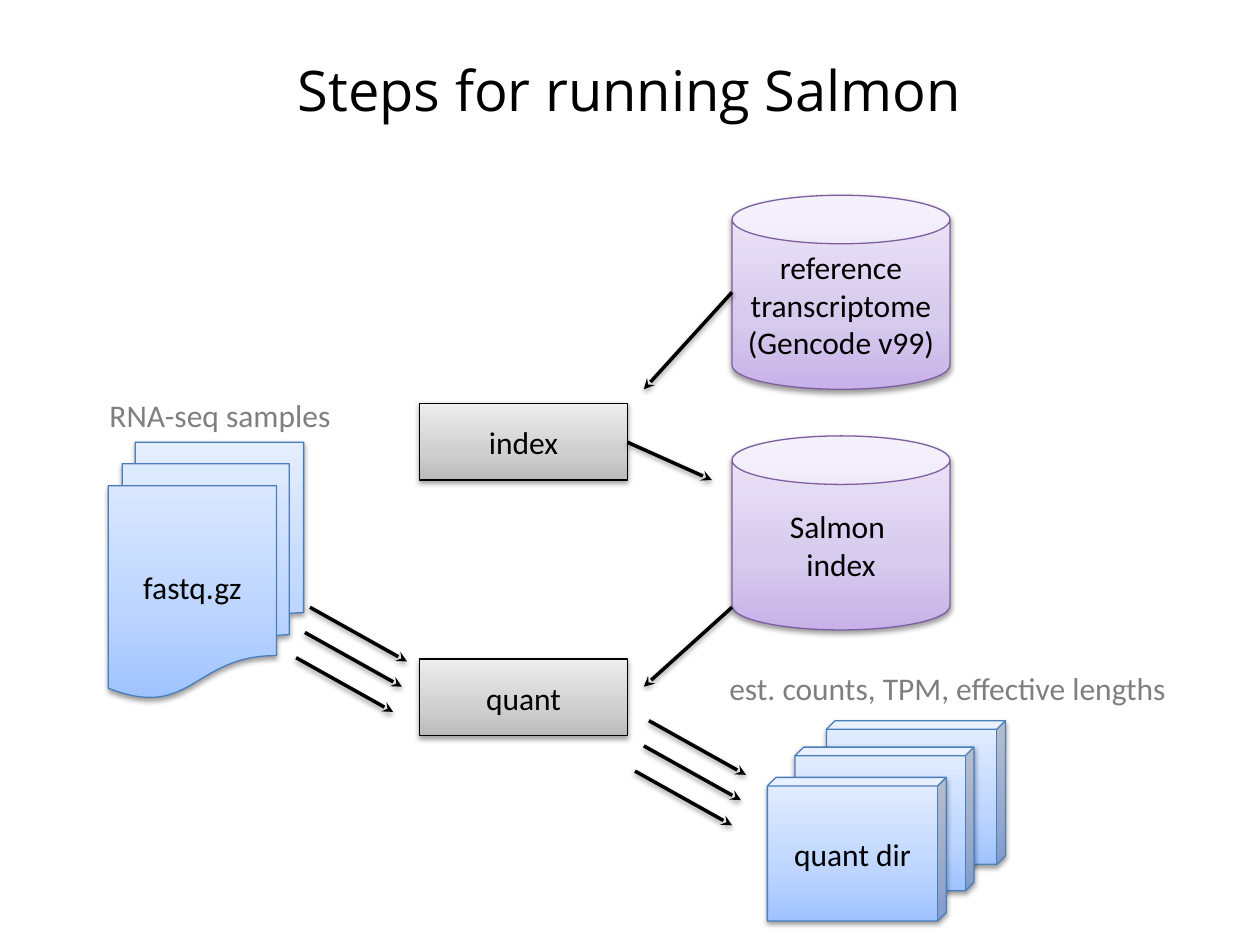
from lxml import etree
from pptx import Presentation
from pptx.dml.color import RGBColor
from pptx.enum.shapes import MSO_CONNECTOR, MSO_SHAPE
from pptx.enum.text import MSO_ANCHOR, PP_ALIGN
from pptx.oxml.ns import qn
from pptx.util import Inches, Pt

RECT, CAN, CUBE = MSO_SHAPE.RECTANGLE, MSO_SHAPE.CAN, MSO_SHAPE.CUBE
DOCUMENTS = MSO_SHAPE.FLOWCHART_MULTIDOCUMENT
STRAIGHT = MSO_CONNECTOR.STRAIGHT
LEFT, CENTER = PP_ALIGN.LEFT, PP_ALIGN.CENTER
MIDDLE, TOP = MSO_ANCHOR.MIDDLE, MSO_ANCHOR.TOP

COLORS = {"ink": "000000", "caption": "7F7F7F"}
# Gradient stops from bottom to top, then outline
STYLES = {
    "step": (("BABABA", "CFCFCF", "EDEDED"), "000000"),
    "store": (("C8B2E9", "D6CAED", "EFE8FA"), "7C5F9F"),
    "data": (("9FC3FF", "BDD5FF", "E4EEFF"), "4A7DBA"),
}
STOPS = (0, 35, 100)

# Content: kind, style, left, top, width, height, adjustment, text
STEP_X, STEP_SIZE = 3.33, (1.65, 0.61)
STORE_X, STORE_SIZE = 5.81, (1.73, 1.54)
CUBE_SIZE = (1.42, 1.14)
NODES = [
    (RECT, "step", STEP_X, 3.2, *STEP_SIZE, None, "index"),
    (RECT, "step", STEP_X, 5.23, *STEP_SIZE, None, "quant"),
    (CAN, "store", STORE_X, 1.55, *STORE_SIZE, 0.25,
     "reference transcriptome (Gencode v99)"),
    (CAN, "store", STORE_X, 3.46, *STORE_SIZE, 0.25, "Salmon \vindex"),
    (DOCUMENTS, "data", 0.86, 3.51, 1.55, 2.03, None, "fastq.gz"),
    (CUBE, "data", 6.56, 5.72, *CUBE_SIZE, 0.06, ""),
    (CUBE, "data", 6.31, 5.93, *CUBE_SIZE, 0.06, ""),
    (CUBE, "data", 6.09, 6.17, *CUBE_SIZE, 0.06, "quant dir"),
]
CAPTIONS = [
    ("RNA-seq samples", 0.77, 3.09, 2.09, 0.4),
    ("est. counts, TPM, effective lengths", 5.69, 5.26, 3.74, 0.4),
]
SINGLE_ARROWS = [
    (STORE_X, 2.32, 5.11, 3.09),
    (STEP_X + STEP_SIZE[0], 3.51, 5.65, 3.81),
    (STORE_X, 4.82, 5.11, 5.45),
]
# Three parallel arrows, one per sample, start at each of these points
BUNDLE_STARTS = [(2.46, 4.82), (5.15, 5.72)]
BUNDLE_OFFSETS = [(0, 0), (-0.04, 0.2), (-0.11, 0.4)]
BUNDLE_RUN = (0.77, 0.43)


def write(frame, text, *, size=18, font="Calibri", color="ink",
          align=CENTER, anchor=MIDDLE, wrap=True):
    frame.word_wrap = wrap
    frame.vertical_anchor = anchor
    para = frame.paragraphs[0]
    para.text = text
    para.alignment = align
    for span in para.runs:
        span.font.size = Pt(size)
        span.font.name = font
        span.font.color.rgb = RGBColor.from_string(COLORS[color])


def add_color(parent, color, alpha=None):
    node = etree.SubElement(parent, qn("a:srgbClr"), val=color)
    if alpha:
        etree.SubElement(node, qn("a:alpha"), val=str(alpha * 1000))


def add_shadow(properties):
    effects = etree.SubElement(properties, qn("a:effectLst"))
    shadow = etree.SubElement(
        effects, qn("a:outerShdw"), blurRad=str(Pt(3.1)), dist=str(Pt(1.6)),
        dir="5400000", rotWithShape="0")
    add_color(shadow, COLORS["ink"], alpha=38)


def add_node(slide, kind, style, left, top, width, height, adjustment, text):
    shape = slide.shapes.add_shape(
        kind, Inches(left), Inches(top), Inches(width), Inches(height))
    if adjustment is not None:
        shape.adjustments[0] = adjustment
    gradient, outline = STYLES[style]
    shape.fill.gradient()
    shape.fill.gradient_angle = 90
    properties = shape.element.spPr
    stop_list = properties.find(qn("a:gradFill")).find(qn("a:gsLst"))
    for stop in list(stop_list):
        stop_list.remove(stop)
    for position, color in zip(STOPS, gradient):
        stop = etree.SubElement(stop_list, qn("a:gs"), pos=str(position * 1000))
        add_color(stop, color)
    shape.line.color.rgb = RGBColor.from_string(outline)
    shape.line.width = Pt(0.75)
    add_shadow(properties)
    if text:
        write(shape.text_frame, text)


def add_arrow(slide, *ends):
    arrow = slide.shapes.add_connector(STRAIGHT, *map(Inches, ends))
    arrow.line.color.rgb = RGBColor.from_string(COLORS["ink"])
    arrow.line.width = Pt(2)
    properties = arrow.element.spPr
    etree.SubElement(properties.find(qn("a:ln")), qn("a:tailEnd"), type="stealth")
    add_shadow(properties)


def main():
    deck = Presentation()
    deck.slide_width, deck.slide_height = Inches(10), Inches(7.5)
    slide = deck.slides.add_slide(deck.slide_layouts[5])

    # Title
    title = slide.shapes.title
    title.left, title.top = Inches(0.5), Inches(0.08)
    title.width, title.height = Inches(9), Inches(1.25)
    write(title.text_frame, "Steps for running Salmon", size=32, font="Open Sans")

    # Steps, stores and data
    for node in NODES:
        add_node(slide, *node)

    # Arrows
    for ends in SINGLE_ARROWS:
        add_arrow(slide, *ends)
    for start_x, start_y in BUNDLE_STARTS:
        for shift_x, shift_y in BUNDLE_OFFSETS:
            x, y = start_x + shift_x, start_y + shift_y
            add_arrow(slide, x, y, x + BUNDLE_RUN[0], y + BUNDLE_RUN[1])

    # Captions
    for text, *place in CAPTIONS:
        box = slide.shapes.add_textbox(*map(Inches, place))
        write(box.text_frame, text, color="caption", align=LEFT, anchor=TOP,
              wrap=False)

    deck.save("out.pptx")


if __name__ == "__main__":
    main()
